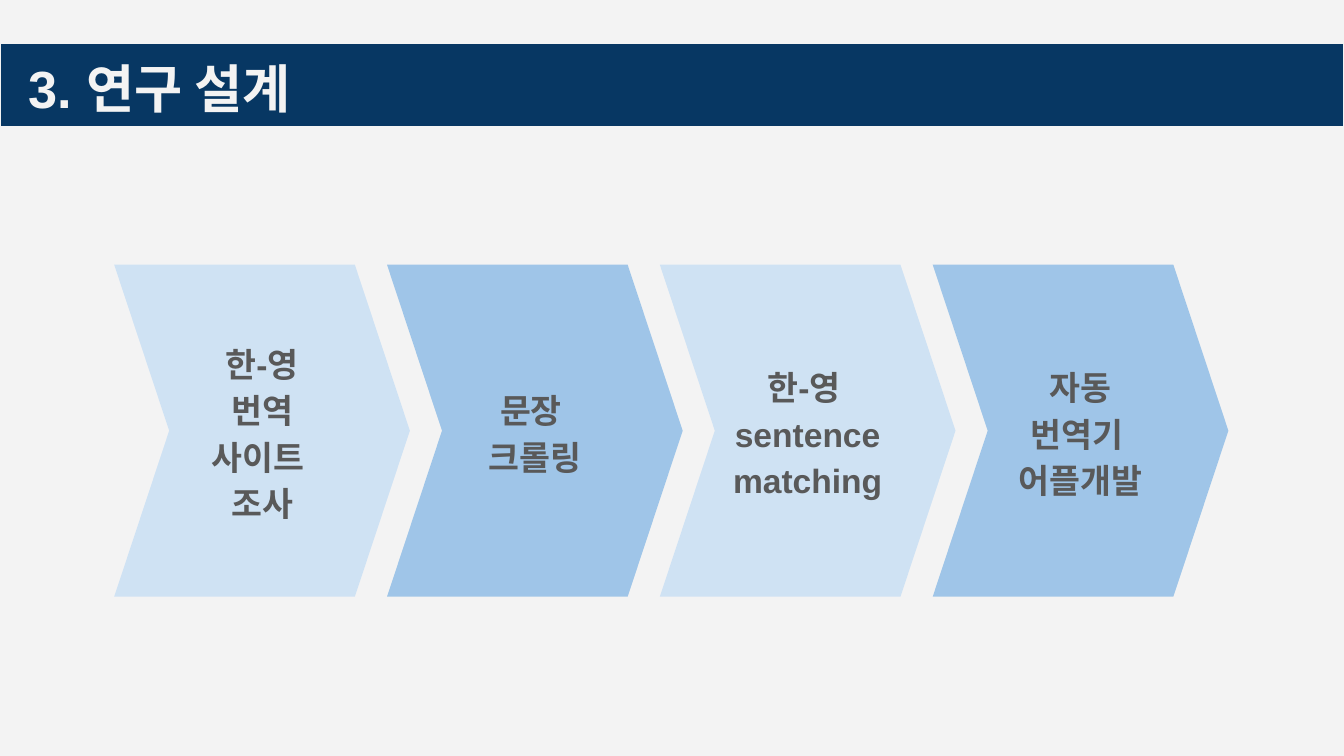
from dataclasses import dataclass

from pptx import Presentation
from pptx.dml.color import RGBColor
from pptx.enum.shapes import MSO_SHAPE
from pptx.enum.text import MSO_ANCHOR, MSO_AUTO_SIZE, PP_ALIGN
from pptx.slide import Slide
from pptx.util import Inches, Pt

CHEVRON = MSO_SHAPE.CHEVRON
TOP, MIDDLE = MSO_ANCHOR.TOP, MSO_ANCHOR.MIDDLE
LEFT, CENTER = PP_ALIGN.LEFT, PP_ALIGN.CENTER
NO_AUTOFIT = MSO_AUTO_SIZE.NONE

COLORS = {
    "paper": "F3F3F3",
    "navy": "073763",
    "pale": "CFE2F3",
    "sky": "9FC5E8",
    "ink": "595959",
}
FONT = "Arial"
SLIDE_W = 10
SLIDE_H = SLIDE_W * 9 / 16
INSET = Inches(0.1)

FIRST_LEFT, COLUMN_PITCH = 0.85, 2.03
STEP_TOP, STEP_W, STEP_H = 1.97, 2.2, 2.47
POINT_DEPTH = 0.186


@dataclass(frozen=True)
class Step:
    label: str
    color: str
    indent: float = -0.08


STEPS = (
    Step("한-영\n번역\n사이트 \n조사", "pale"),
    Step("문장 \n크롤링", "sky"),
    Step("한-영 \nsentence matching", "pale"),
    Step("자동\n번역기 \n어플개발", "sky", 0),
)


def rgb(name: str) -> RGBColor:
    return RGBColor.from_string(COLORS[name])


def prepare_frame(frame, anchor: MSO_ANCHOR) -> None:
    frame.word_wrap = True
    frame.auto_size = NO_AUTOFIT
    frame.vertical_anchor = anchor
    frame.margin_left = frame.margin_right = INSET
    frame.margin_top = frame.margin_bottom = INSET


def style_font(paragraph, size: int, color: str) -> None:
    font = paragraph.font
    font.name, font.size, font.bold = FONT, Pt(size), True
    font.color.rgb = rgb(color)


def draw_title(slide: Slide, wording: str) -> None:
    banner = slide.shapes.title
    banner.left, banner.top = Inches(0), Inches(0.32)
    banner.width, banner.height = Inches(SLIDE_W), Inches(0.62)
    banner.fill.solid()
    banner.fill.fore_color.rgb = rgb("navy")
    banner.line.color.rgb = rgb("paper")
    banner.line.width = Pt(0.75)
    frame = banner.text_frame
    prepare_frame(frame, TOP)
    frame.margin_left = Inches(0.21)
    heading = frame.paragraphs[0]
    heading.text = wording
    heading.alignment = LEFT
    style_font(heading, 28, "paper")


def draw_step(slide: Slide, column: int, step: Step) -> None:
    left = FIRST_LEFT + column * COLUMN_PITCH
    chevron = slide.shapes.add_shape(
        CHEVRON, Inches(left), Inches(STEP_TOP), Inches(STEP_W), Inches(STEP_H)
    )
    chevron.adjustments[0] = POINT_DEPTH
    chevron.shadow.inherit = False
    chevron.fill.solid()
    chevron.fill.fore_color.rgb = rgb(step.color)
    chevron.line.fill.background()
    prepare_frame(chevron.text_frame, MIDDLE)
    label = chevron.text_frame.paragraphs[0]
    label.text = step.label
    label.alignment = CENTER
    label.line_spacing = 1.15
    label.space_after = Pt(16)
    properties = label._p.get_or_add_pPr()
    properties.set("marL", "0")
    properties.set("indent", str(Inches(step.indent)))
    style_font(label, 18, "ink")


def main() -> None:
    deck = Presentation()
    deck.slide_width, deck.slide_height = Inches(SLIDE_W), Inches(SLIDE_H)
    slide = deck.slides.add_slide(deck.slide_layouts.get_by_name("Title Only"))
    slide.background.fill.solid()
    slide.background.fill.fore_color.rgb = rgb("paper")
    draw_title(slide, "3. 연구 설계")
    for column, step in enumerate(STEPS):
        draw_step(slide, column, step)
    deck.save("out.pptx")


if __name__ == "__main__":
    main()
